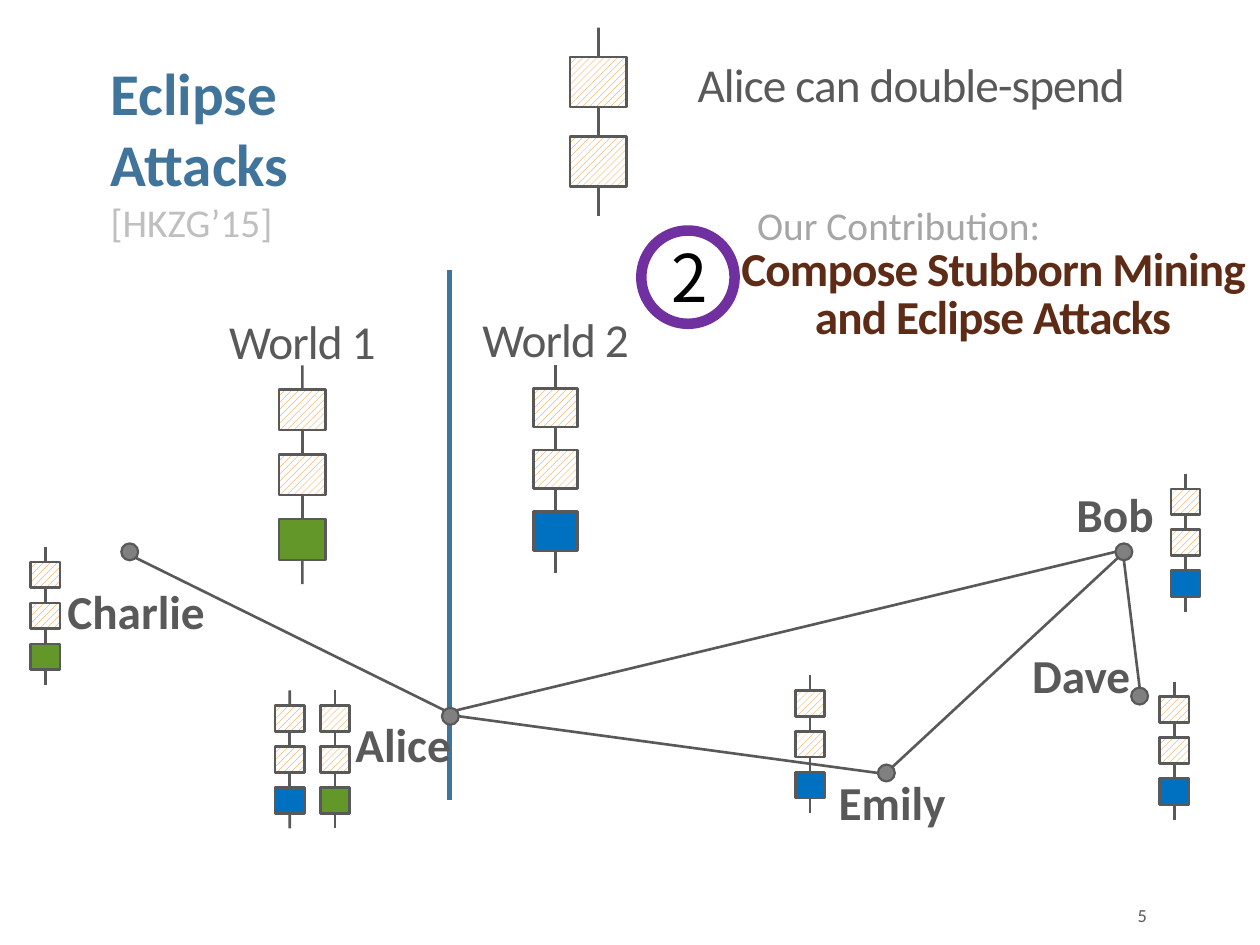
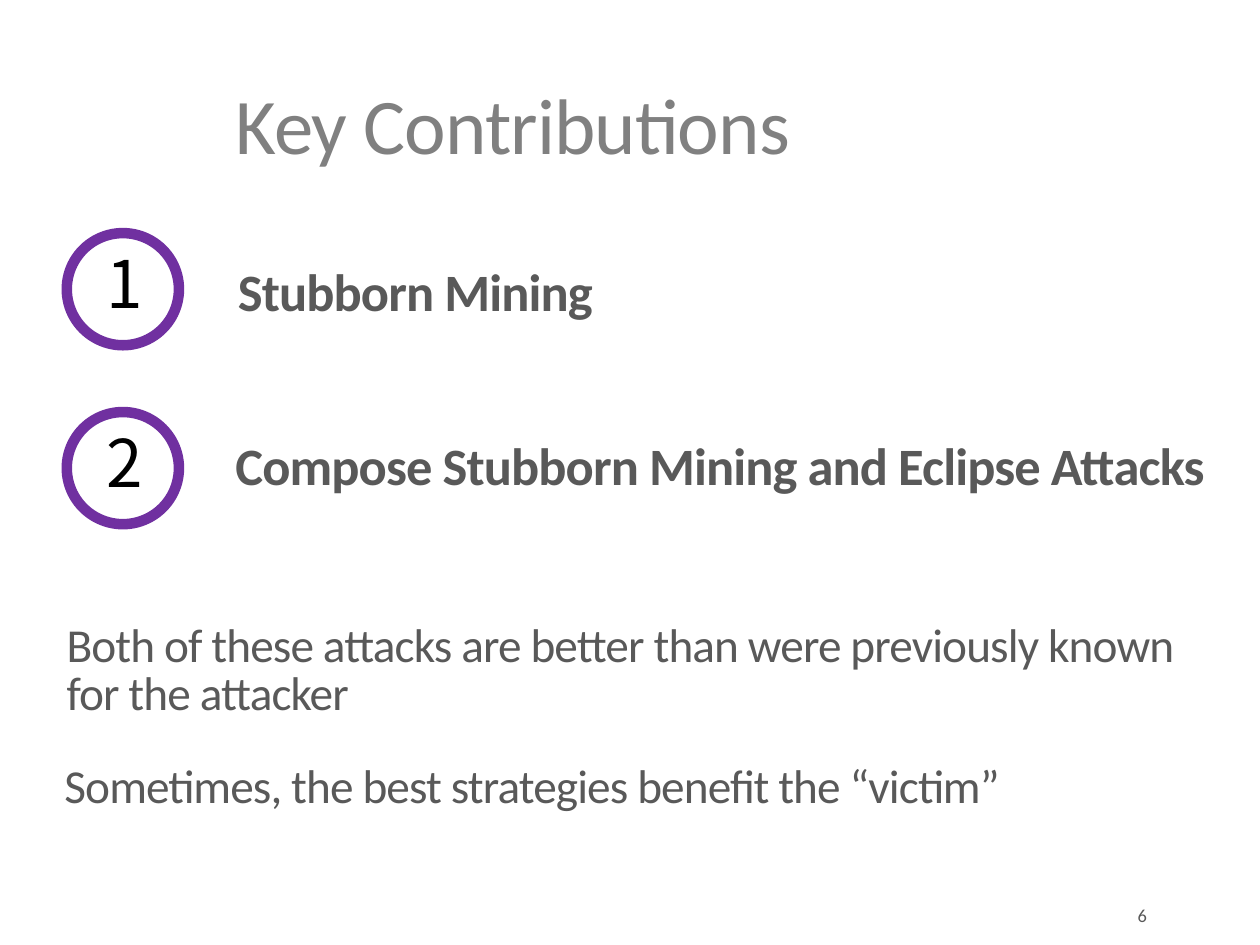
from math import cos, radians, sin

from lxml.etree import SubElement
from pptx import Presentation
from pptx.dml.color import RGBColor
from pptx.enum.dml import MSO_PATTERN
from pptx.enum.shapes import MSO_CONNECTOR, MSO_SHAPE
from pptx.enum.text import MSO_ANCHOR, MSO_AUTO_SIZE, PP_ALIGN
from pptx.oxml.ns import qn
from pptx.util import Inches, Pt

GRAY = RGBColor(0x59, 0x59, 0x59)
MID_GRAY = RGBColor(0x80, 0x80, 0x80)
SOFT_GRAY = RGBColor(0xA6, 0xA6, 0xA6)
PALE_GRAY = RGBColor(0xBF, 0xBF, 0xBF)
STEEL = RGBColor(0x40, 0x74, 0x9B)
BROWN = RGBColor(0x5E, 0x2C, 0x16)
PURPLE = RGBColor(0x70, 0x30, 0xA0)
ORANGE = RGBColor(0xE4, 0x83, 0x12)
GREEN = RGBColor(0x63, 0x97, 0x29)
BLUE = RGBColor(0x00, 0x70, 0xC0)
WHITE = RGBColor(0xFF, 0xFF, 0xFF)
BLACK = RGBColor(0, 0, 0)

BODY_FONT = "Calibri"
NUMBER_FONT = "Noto Sans CJK KR"
HATCHED = "hatched"
TIGHT = {"line_spacing": 0.85}
TIGHT_CENTER = {"line_spacing": 0.85, "alignment": PP_ALIGN.CENTER}
CENTER = {"alignment": PP_ALIGN.CENTER}

NODE_RADIUS = 0.067
NODES = {
    "Charlie": (1.03, 4.38),
    "Alice": (3.575, 5.685),
    "Emily": (7.035, 6.135),
    "Bob": (8.92, 4.38),
    "Dave": (9.045, 5.525),
}
EDGES = [
    ("Alice", -45, "Bob", 180),
    ("Emily", -45, "Bob", 135),
    ("Alice", 0, "Emily", 180),
    ("Charlie", 45, "Alice", 225),
    ("Dave", -90, "Bob", 90),
]
NAME_BOXES = {
    "Alice": (2.7, 5.63, 1),
    "Bob": (7.41, 3.8, 2.88),
    "Charlie": (-0.36, 4.57, 2.88),
    "Emily": (5.64, 6.09, 2.88),
    "Dave": (7.14, 5.08, 2.88),
}
CHAINS = [
    (4.75, 0.22, 0.63, [HATCHED, HATCHED]),
    (4.41, 2.9, 0.49, [HATCHED, HATCHED, BLUE]),
    (2.4, 2.9, 0.515, [HATCHED, HATCHED, GREEN]),
]
PEER_PITCH = 0.325
PEER_CHAINS = [
    (0.36, 4.34, GREEN),
    (2.3, 5.48, BLUE),
    (2.66, 5.48, GREEN),
    (6.43, 5.36, BLUE),
    (9.41, 3.76, BLUE),
    (9.32, 5.41, BLUE),
]


def set_values(target, values):
    for name, value in values.items():
        setattr(target, name, value)


def add_paragraph(paragraph, text, size, color, layout=None, bold=False,
                  font=BODY_FONT, spacing=0):
    set_values(paragraph, layout or {})
    run = paragraph.add_run()
    run.text = text
    set_values(run.font, {"name": font, "size": Pt(size), "bold": bold})
    run.font.color.rgb = color
    if spacing:
        run._r.get_or_add_rPr().set("spc", str(round(spacing * 100)))


def add_frame(slide, box, **values):
    frame = slide.shapes.add_textbox(*map(Inches, box)).text_frame
    set_values(frame, {"word_wrap": True, **values})
    return frame


def add_text(slide, box, text, size, color, layout=None, **style):
    frame = add_frame(slide, box)
    add_paragraph(frame.paragraphs[0], text, size, color, layout, **style)


def add_statement(slide, box, text, size=27, color=GRAY, layout=TIGHT, bold=False):
    add_text(slide, box, text, size, color, layout, bold=bold, spacing=-0.5)


def add_line(slide, start, end, color=GRAY, width=1.5):
    line = slide.shapes.add_connector(
        MSO_CONNECTOR.STRAIGHT, *map(Inches, (*start, *end)))
    line.line.color.rgb = color
    line.line.width = Pt(width)
    SubElement(line._element.spPr, qn("a:effectLst"))
    return line


def add_outlined(slide, kind, box, color=GRAY, width=1.5):
    shape = slide.shapes.add_shape(kind, *map(Inches, box))
    shape.shadow.inherit = False
    shape.line.color.rgb = color
    shape.line.width = Pt(width)
    return shape


def add_block(slide, box, paint):
    block = add_outlined(slide, MSO_SHAPE.RECTANGLE, box)
    if paint == HATCHED:
        block.fill.patterned()
        block.fill.pattern = MSO_PATTERN.WIDE_UPWARD_DIAGONAL
        block.fill.fore_color.rgb = ORANGE
        block.fill.back_color.rgb = WHITE
    else:
        block.fill.solid()
        block.fill.fore_color.rgb = paint
    return block


def draw_chain(slide, center, top, pitch, paints):
    width, height, gap = 0.715 * pitch, 0.63 * pitch, 0.37 * pitch
    blocks = [
        add_block(slide, (center - width / 2, top + gap + index * pitch, width, height), paint)
        for index, paint in enumerate(paints)
    ]
    for index in range(len(blocks) + 1):
        link_top = top + index * pitch
        link = add_line(slide, (center, link_top), (center, link_top + gap))
        if index > 0:
            link.begin_connect(blocks[index - 1], 2)
        if index < len(blocks):
            link.end_connect(blocks[index], 0)


def rim_point(name, angle):
    x, y = NODES[name]
    turn = radians(angle)
    return x + NODE_RADIUS * cos(turn), y + NODE_RADIUS * sin(turn)


def draw_network(slide):
    for x, y in NODES.values():
        node = add_outlined(
            slide, MSO_SHAPE.OVAL,
            (x - NODE_RADIUS, y - NODE_RADIUS, 2 * NODE_RADIUS, 2 * NODE_RADIUS), width=1.25)
        node.fill.solid()
        node.fill.fore_color.rgb = MID_GRAY
    for source, source_angle, target, target_angle in EDGES:
        add_line(slide, rim_point(source, source_angle), rim_point(target, target_angle))
    for name, (left, top, width) in NAME_BOXES.items():
        add_text(slide, (left, top, width, 0.56), name, 27, GRAY, CENTER, bold=True)


def draw_badge(slide, number, left, top, size, number_drop=0):
    number_left = left + size / 2 - 0.23
    add_text(slide, (number_left, top + number_drop, 0.52, 0.73), number, 37.5, BLACK,
             font=NUMBER_FONT)
    ring = add_outlined(slide, MSO_SHAPE.OVAL, (left, top, size, size), PURPLE, 6)
    ring.fill.background()


def draw_slide_number(slide, number):
    frame = add_frame(slide, (8.12, 7.06, 1.08, 0.4), vertical_anchor=MSO_ANCHOR.MIDDLE)
    add_paragraph(frame.paragraphs[0], str(number), 10.5, GRAY,
                  {"alignment": PP_ALIGN.RIGHT})


def draw_attack_title(slide, left, top):
    frame = add_frame(slide, (left, top, 3.03, 1.43), margin_right=Inches(0.4))
    add_paragraph(frame.paragraphs[0], "Eclipse Attacks", 33.8, STEEL, bold=True)
    add_paragraph(frame.add_paragraph(), "[HKZG’15]", 22.5, PALE_GRAY)


def draw_contribution(slide, left, top):
    draw_badge(slide, "2", left, top + 0.28, 0.74)
    add_statement(slide, (left + 0.54, top + 0.37, 4.5, 0.54),
                  "Compose Stubborn Mining and Eclipse Attacks",
                  color=BROWN, layout=TIGHT_CENTER, bold=True)
    frame = add_frame(slide, (left + 0.82, top, 2.45, 0.48),
                      word_wrap=False, auto_size=MSO_AUTO_SIZE.SHAPE_TO_FIT_TEXT)
    add_paragraph(frame.paragraphs[0], "Our Contribution:", 22.5, SOFT_GRAY)


def build_eclipse_slide(slide):
    draw_attack_title(slide, 0.78, 0.4)
    add_line(slide, (3.57, 2.14), (3.57, 6.35), STEEL, 3)
    for chain in CHAINS:
        draw_chain(slide, *chain)
    for center, top, tip in PEER_CHAINS:
        draw_chain(slide, center, top, PEER_PITCH, [HATCHED, HATCHED, tip])
    for box, text in [
        ((1.66, 2.5, 1.48, 0.54), "World 1"),
        ((3.67, 2.48, 1.48, 0.54), "World 2"),
        ((5.13, 0.46, 4.2, 0.54), "Alice can double-spend"),
    ]:
        add_statement(slide, box, text, layout=TIGHT_CENTER)
    draw_network(slide)
    draw_contribution(slide, 5.09, 1.55)


def build_contributions_slide(slide):
    add_statement(slide, (1.77, 0.67, 8.25, 1.19), "Key Contributions", 45, MID_GRAY)
    for number, top, left, text_top, text in [
        ("1", 1.85, 1.79, 2.08, "Stubborn Mining"),
        ("2", 3.27, 1.77, 3.46, "Compose Stubborn Mining and Eclipse Attacks"),
    ]:
        draw_badge(slide, number, 0.53, top, 0.89, 0.03)
        add_statement(slide, (left, text_top, 8.23, 0.52), text, 30, bold=True)
    add_statement(
        slide, (0.43, 4.9, 9.06, 0.52),
        "Both of these attacks are better than were previously known for the attacker")
    add_statement(slide, (0.14, 6.02, 8.16, 0.54),
                  "Sometimes, the best strategies benefit the “victim”",
                  layout=TIGHT_CENTER)


def main():
    presentation = Presentation()
    set_values(presentation, {"slide_width": Inches(10), "slide_height": Inches(7.5)})
    builders = [build_eclipse_slide, build_contributions_slide]
    for number, build in enumerate(builders, start=5):
        slide = presentation.slides.add_slide(presentation.slide_layouts[6])
        draw_slide_number(slide, number)
        build(slide)
    presentation.save("out.pptx")


if __name__ == "__main__":
    main()
